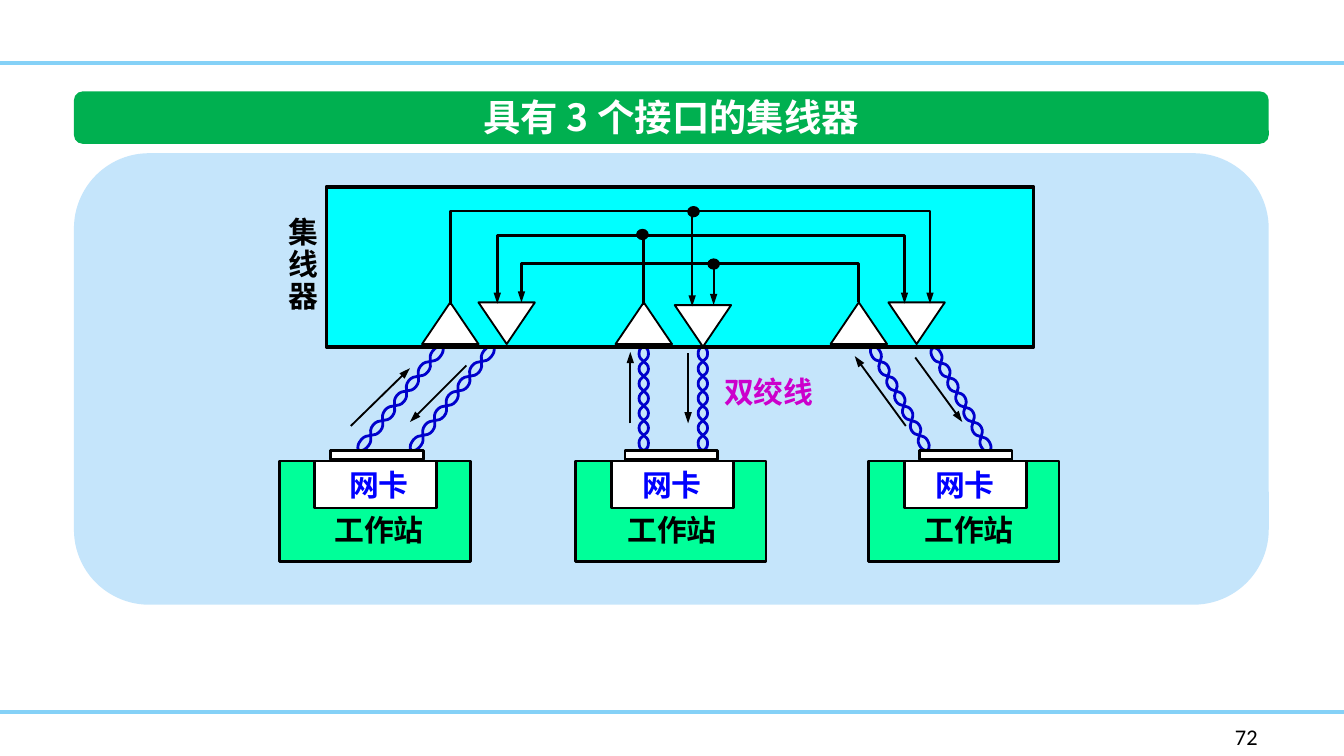
"""Build a slide showing the wiring of a three-port hub."""
import math

from lxml import etree
from pptx import Presentation, util as u
from pptx.dml.color import RGBColor
from pptx.enum import shapes, text
from pptx.oxml.ns import qn

PX = 9144
SIZE = (1000, 562.5)
CJK, LATIN = "Noto Sans CJK SC", "Calibri"
COLORS = {
    "rule": "85D1F7", "banner": "00B050", "panel": "C5E5FB", "hub": "00FFFF",
    "station": "00FF99", "white": "FFFFFF", "black": "000000",
    "pair": "0000CC", "card": "0000FF", "cable": "CC00CC",
}
RULES = [47, 530]
BANNER = (55, 68, 889, 39)
PANEL = (55, 114, 889, 336)
HUB = (243, 139, 526, 119)
SENDERS = [(314, 225), (458, 225), (618, 225)]
RECEIVERS = [(356, 225), (502, 227), (661, 225)]
TRIANGLE = (42, 31)
BUSES = [
    [(639, 225), (639, 196), (388, 196), (388, 225)],
    [(479, 227), (479, 175), (673, 175), (673, 226)],
    [(479, 175), (370, 175), (370, 226)],
    [(335, 227), (335, 157), (692, 157), (692, 226)],
]
DROPS = [((531, 197), (531, 227)), ((515, 159), (515, 228))]
JUNCTIONS = [(474, 171), (512, 154), (527, 193)]
PAIRS = [
    ((329, 258), (267, 335)), ((367, 258), (306, 335)),
    ((479, 258), (479, 335)), ((523, 258), (523, 335)),
    ((649, 258), (690, 335)), ((694, 259), (736, 336)),
]
HALF_WAVES, AMPLITUDE = 7, 3.5
SIGNALS = [
    ((261, 317), (305, 274)), ((347, 272), (305, 314)),
    ((469, 315), (469, 262)), ((512, 263), (512, 315)),
    ((674, 317), (636, 265)), ((681, 266), (716, 314)),
]
STATIONS = [
    {"left": 208, "card": 234, "slot": 246, "card_text": 250, "caption": 239},
    {"left": 428, "card": 455, "slot": 465, "card_text": 468, "caption": 457},
    {"left": 646, "card": 673, "slot": 684, "card_text": 686, "caption": 678},
]
TITLE = ((346, 65, 307, 44), ["具有 3 个接口的集线器"], 20, "white")
HUB_NAME = ((205, 157, 43, 83), ["集", "线", "器"], 16, "black")
CABLE = ((529, 273, 88, 37), ["双绞线"], 16, "cable")
PAGE = ((909, 533, 65, 30), ["72"], 12, "black")


def px(value):
    return u.Emu(round(value * PX))


def color(name):
    return RGBColor.from_string(COLORS[name])


def set_line(shape, name, width, arrow=False):
    shape.line.color.rgb = color(name)
    shape.line.width = u.Pt(width)
    if arrow:
        line = shape.element.spPr.find(qn("a:ln"))
        etree.SubElement(line, qn("a:tailEnd"), type="triangle", w="sm", len="med")


def add_box(slide, kind, box, fill, width=0):
    shape = slide.shapes.add_shape(kind, *map(px, box))
    shape.shadow.inherit = False
    shape.fill.solid()
    shape.fill.fore_color.rgb = color(fill)
    if width:
        set_line(shape, "black", width)
    else:
        shape.line.fill.background()
    return shape


def add_line(slide, start, end, name="black", width=1, arrow=True):
    line = slide.shapes.add_connector(
        shapes.MSO_CONNECTOR.STRAIGHT, *map(px, start + end))
    set_line(line, name, width, arrow)
    etree.SubElement(line.element.spPr, qn("a:effectLst"))


def add_path(slide, points, name, arrow=False):
    points = [(px(x), px(y)) for x, y in points]
    builder = slide.shapes.build_freeform(*points[0])
    builder.add_line_segments(points[1:], close=False)
    shape = builder.convert_to_shape()
    shape.shadow.inherit = False
    shape.fill.background()
    set_line(shape, name, 1.5, arrow)
    return shape


def curve_segments(shape, reach):
    """Turn the straight segments into curves that leave each crest along reach."""
    outline = shape.element.spPr.find(".//" + qn("a:path"))
    nodes = [(int(node.get("x")), int(node.get("y")))
             for node in outline.iter(qn("a:pt"))]
    segments = outline.findall(qn("a:lnTo"))
    for index, segment in enumerate(segments):
        start, end = nodes[index], nodes[index + 1]
        out = 0 if index == 0 else 1
        back = 0 if index == len(segments) - 1 else 1
        first = [a + out * b for a, b in zip(start, reach)]
        second = [a - back * b for a, b in zip(end, reach)]
        curve = etree.Element(qn("a:cubicBezTo"))
        for x, y in (first, second, end):
            etree.SubElement(curve, qn("a:pt"), x=str(x), y=str(y))
        outline.replace(segment, curve)


def add_pair(slide, start, end):
    (x, y), dx, dy = start, end[0] - start[0], end[1] - start[1]
    length = math.hypot(dx, dy)
    reach = (px(dx / HALF_WAVES / 2), px(dy / HALF_WAVES / 2))
    for side in (1, -1):
        points = [start]
        for wave in range(HALF_WAVES):
            part = (wave + 0.5) / HALF_WAVES
            sway = side * AMPLITUDE * (-1) ** wave
            points.append((x + dx * part - dy / length * sway,
                           y + dy * part + dx / length * sway))
        curve_segments(add_path(slide, points + [end], "pair"), reach)


def add_label(slide, box, lines, size, name, font=CJK, spacing=None, align=None):
    frame = slide.shapes.add_textbox(*map(px, box)).text_frame
    frame.word_wrap = False
    frame.text = "\n".join(lines)
    for paragraph in frame.paragraphs:
        paragraph.alignment = align
        paragraph.line_spacing = spacing
        for run in paragraph.runs:
            run.font.size = u.Pt(size)
            run.font.bold = font == CJK
            run.font.color.rgb = color(name)
            run.font.name = font
            east_asian = etree.SubElement(run.font._element, qn("a:ea"))
            east_asian.set("typeface", font)


def add_station(slide, left, card, slot, card_text, caption):
    rectangle = shapes.MSO_SHAPE.RECTANGLE
    add_box(slide, rectangle, (left, 343, 142, 75), "station", 1.5)
    add_box(slide, rectangle, (card, 343, 91, 35), "white", 1.5)
    add_label(slide, (card_text, 342, 65, 37), ["网卡"], 16, "card")
    add_label(slide, (caption, 376, 88, 37), ["工作站"], 16, "black")
    add_box(slide, rectangle, (slot, 335, 69, 7), "white", 1.5)


def main():
    presentation = Presentation()
    presentation.slide_width, presentation.slide_height = map(px, SIZE)
    slide = presentation.slides.add_slide(presentation.slide_layouts[6])
    preset = shapes.MSO_SHAPE
    for y in RULES:
        add_line(slide, (0, y), (SIZE[0], y), "rule", 2, False)
    add_box(slide, preset.ROUNDED_RECTANGLE, BANNER, "banner")
    add_label(slide, *TITLE, align=text.PP_ALIGN.CENTER)
    add_box(slide, preset.ROUNDED_RECTANGLE, PANEL, "panel")
    for pair in PAIRS:
        add_pair(slide, *pair)
    add_box(slide, preset.RECTANGLE, HUB, "hub", 2)
    for corners, rotation in ((SENDERS, 0), (RECEIVERS, 180)):
        for corner in corners:
            triangle = add_box(slide, preset.ISOSCELES_TRIANGLE,
                               corner + TRIANGLE, "white", 1)
            triangle.rotation = rotation
    for bus in BUSES:
        add_path(slide, bus, "black", True)
    add_label(slide, *HUB_NAME, spacing=0.9)
    for station in STATIONS:
        add_station(slide, **station)
    for corner in JUNCTIONS:
        add_box(slide, preset.OVAL, corner + (8, 7), "black", 1)
    for start, end in DROPS + SIGNALS:
        add_line(slide, start, end)
    add_label(slide, *CABLE)
    add_label(slide, *PAGE, font=LATIN)
    presentation.save("out.pptx")


if __name__ == "__main__":
    main()
